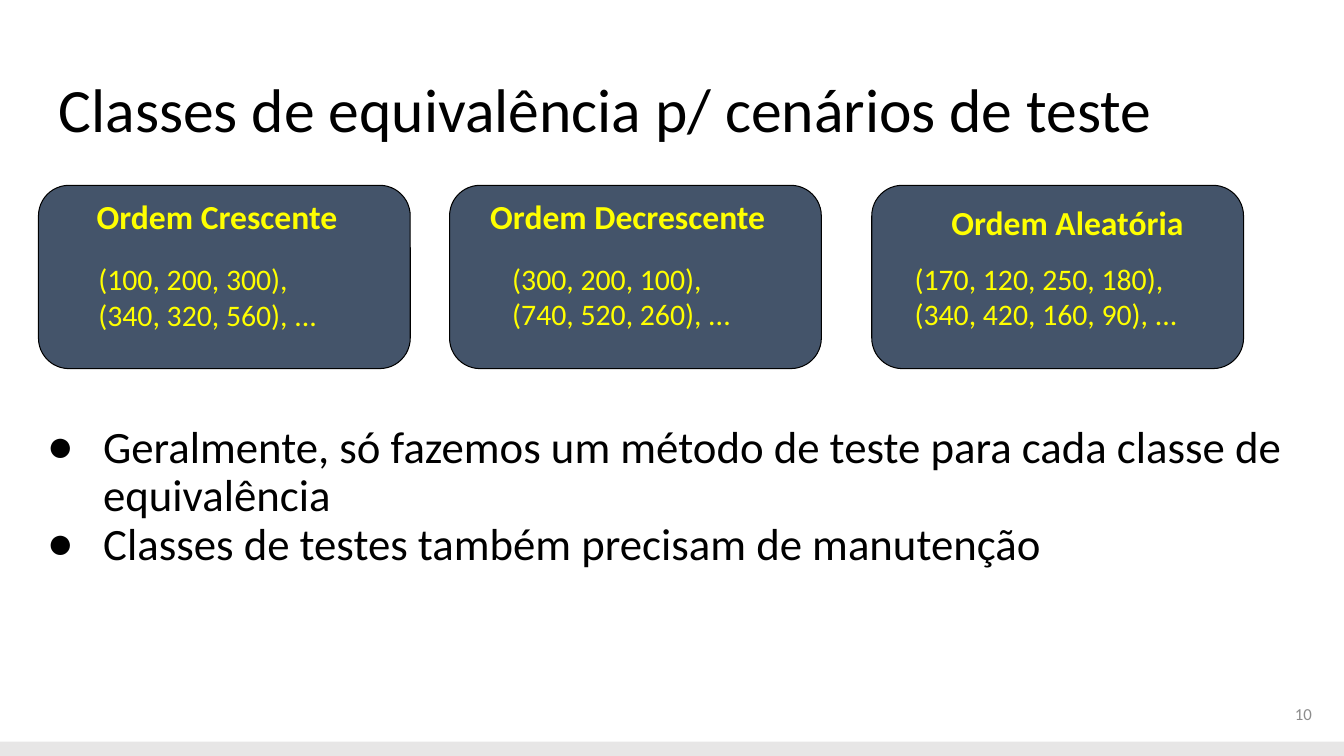
import dataclasses

import lxml.etree
import pptx
import pptx.dml.color
import pptx.enum.shapes
import pptx.enum.text
import pptx.oxml.ns
import pptx.util

Cm = pptx.util.Cm
Pt = pptx.util.Pt
Align = pptx.enum.text.PP_ALIGN
Anchor = pptx.enum.text.MSO_ANCHOR
Shape = pptx.enum.shapes.MSO_SHAPE


@dataclasses.dataclass(frozen=True)
class Theme:
    """Colours, typeface and type sizes of the slide."""
    font: str = "Calibri"
    ink: str = "000000"
    card: str = "44546A"
    accent: str = "FFFF00"
    muted: str = "8C8C8C"
    strip: str = "E7E6E6"
    title: float = 44
    body: float = 32
    heading: float = 24
    example: float = 21.3
    number: float = 12


@dataclasses.dataclass(frozen=True)
class Card:
    """A class of equivalence, with offsets and widths of its texts in cm."""
    left: float
    heading: str
    heading_box: tuple
    examples: tuple
    examples_box: tuple


THEME = Theme()
CARDS = (
    Card(0.97, "Ordem Crescente", (0.64, -0.08, 7.72),
         ("(100, 200, 300),", "(340, 320, 560), ..."), (1.17, 1.57, 7.06)),
    Card(11.33, "Ordem Decrescente", (0.3, -0.08, 8.38),
         ("(300, 200, 100),", "(740, 520, 260), ..."), (1.24, 1.55, 7.06)),
    Card(21.97, "Ordem Aleatória", (0.74, 0.08, 8.38),
         ("(170, 120, 250, 180),", "(340, 420, 160, 90), ..."), (0.74, 1.55, 7.72)),
)
POINTS = (
    "Geralmente, só fazemos um método de teste para cada classe de equivalência",
    "Classes de testes também precisam de manutenção",
)


def colour(value):
    """Return an RGB colour from its hexadecimal form."""
    return pptx.dml.color.RGBColor.from_string(value)


def place(shape, box):
    """Move and size a shape to a box given in cm."""
    shape.left, shape.top, shape.width, shape.height = map(Cm, box)


def write(shape, lines, size, ink, bold=False, align=Align.LEFT,
          anchor=Anchor.TOP, spacing=1.0):
    """Fill a shape with one formatted paragraph per line."""
    frame = shape.text_frame
    frame.word_wrap = True
    frame.auto_size = pptx.enum.text.MSO_AUTO_SIZE.NONE
    frame.vertical_anchor = anchor
    frame.margin_left = frame.margin_right = Cm(0.34)
    frame.margin_top = frame.margin_bottom = Cm(0.34)
    frame.text = "\n".join(lines)
    for para in frame.paragraphs:
        para.alignment = align
        para.line_spacing = spacing
        para.space_before = Pt(0)
        para.font.name = THEME.font
        para.font.size = Pt(size)
        para.font.bold = bold
        para.font.color.rgb = colour(ink)


def add_text(page, box, lines, size, ink, **style):
    """Add a text box."""
    write(page.shapes.add_textbox(*map(Cm, box)), lines, size, ink, **style)


def add_block(page, kind, box, fill):
    """Add a filled shape without outline or shadow."""
    block = page.shapes.add_shape(kind, *map(Cm, box))
    block.shadow.inherit = False
    block.fill.solid()
    block.fill.fore_color.rgb = colour(fill)
    block.line.fill.background()
    return block


def add_title(page, box):
    """Set the slide title."""
    place(page.shapes.title, box)
    write(page.shapes.title, ["Classes de equivalência p/ cenários de teste"],
          THEME.title, THEME.ink, spacing=0.9)


def add_card(page, box, card):
    """Add a rounded card with its heading and examples."""
    left, top, width, height = box
    block = add_block(page, Shape.ROUNDED_RECTANGLE, box, THEME.card)
    block.line.color.rgb = colour(THEME.ink)
    block.line.width = Pt(0.75)
    across, down, extent = card.heading_box
    add_text(page, (left + across, top + down, extent, 1.22), [card.heading],
             THEME.heading, THEME.accent, bold=True, align=Align.CENTER)
    across, down, extent = card.examples_box
    add_text(page, (left + across, top + down, extent, 2.46), card.examples,
             THEME.example, THEME.accent)


def add_points(page, box):
    """Fill the body placeholder with the bulleted points."""
    body = page.placeholders[1]
    place(body, box)
    write(body, POINTS, THEME.body, THEME.ink, spacing=0.9)
    for para in body.text_frame.paragraphs:
        properties = para._p.get_or_add_pPr()
        properties.set("marL", str(Cm(1.7)))
        properties.set("indent", str(-Cm(1.42)))
        bullet = lxml.etree.Element(pptx.oxml.ns.qn("a:buChar"), char="●")
        properties.insert_element_before(bullet, "a:tabLst", "a:defRPr", "a:extLst")


def add_footer(page, box):
    """Add the bottom strip and the slide number above it."""
    left, top, width, height = box
    add_block(page, Shape.RECTANGLE, box, THEME.strip)
    add_text(page, (left + width - 2.5, top - 1.42, 2.03, 1.45), ["10"],
             THEME.number, THEME.muted, align=Align.RIGHT, anchor=Anchor.MIDDLE)


def main():
    """Build and save the deck."""
    deck = pptx.Presentation()
    deck.slide_width, deck.slide_height = Cm(33.87), Cm(19.05)
    page = deck.slides.add_slide(deck.slide_layouts[1])
    add_footer(page, (0, 18.69, 33.87, 0.36))
    add_title(page, (1.14, 1.65, 31.55, 2.13))
    for card in CARDS:
        add_card(page, (card.left, 4.67, 9.37, 4.62), card)
    add_points(page, (0.56, 10.36, 32.72, 5.26))
    deck.save("out.pptx")


if __name__ == "__main__":
    main()
